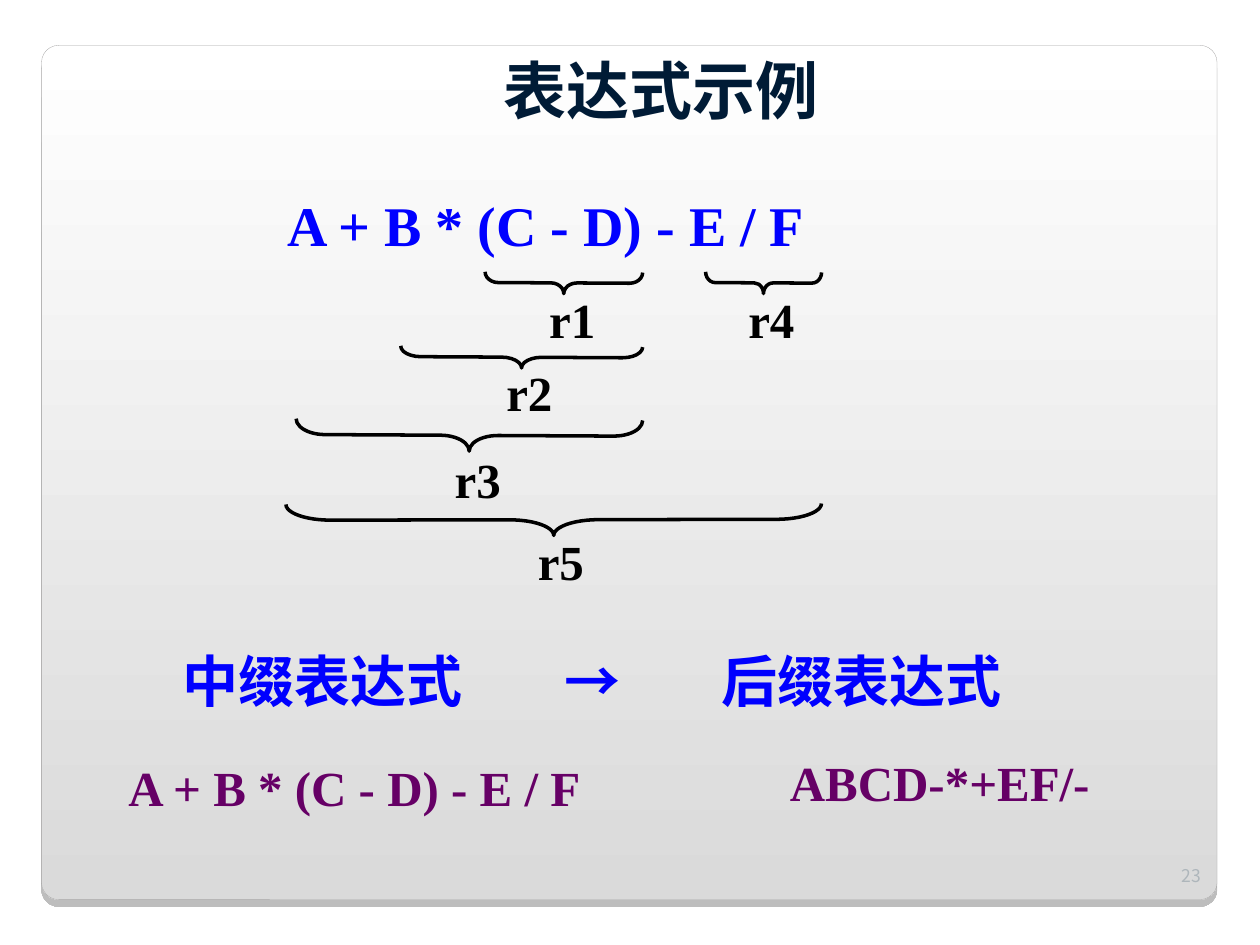
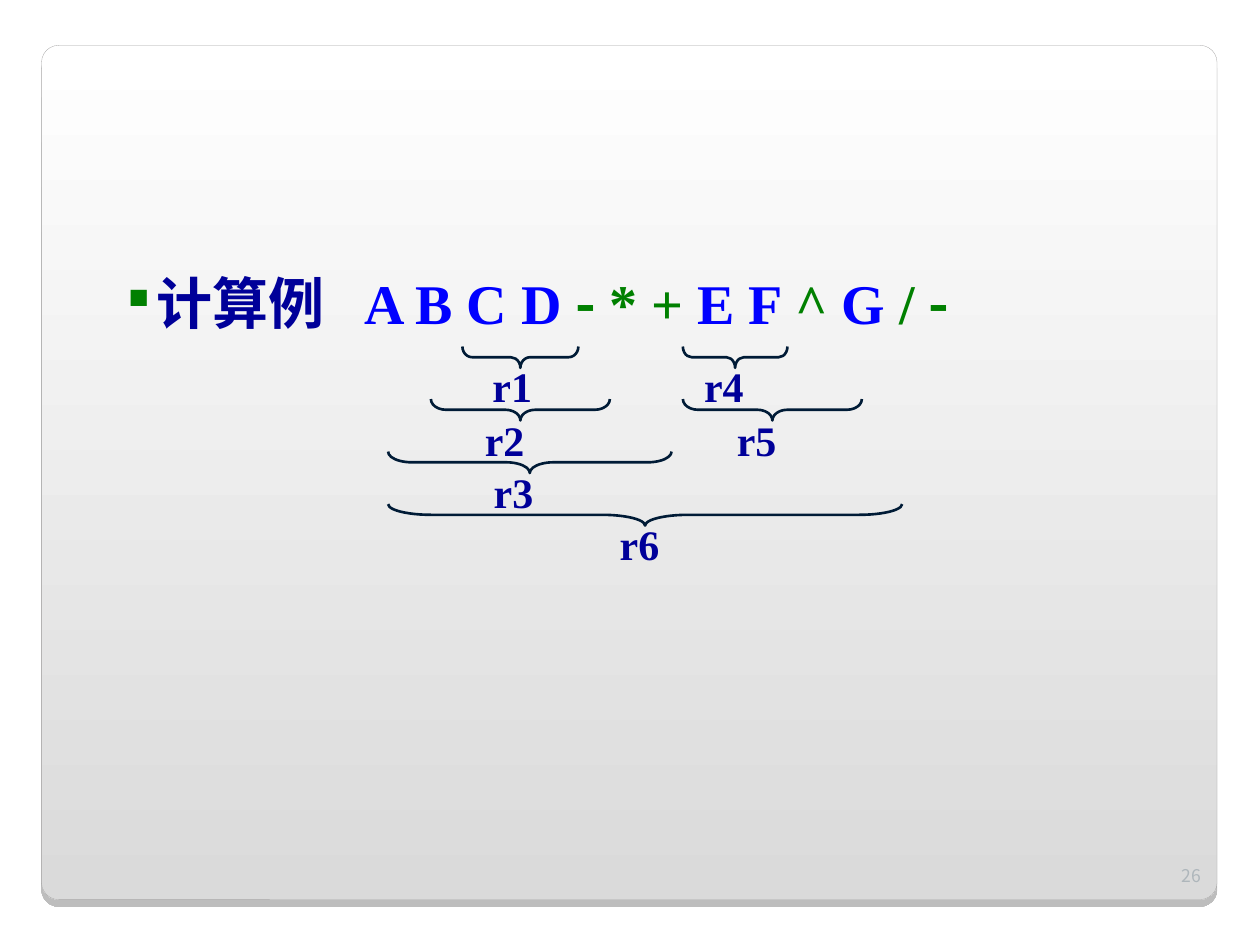
from dataclasses import dataclass

from lxml import etree
from pptx import Presentation
from pptx.dml.color import RGBColor
from pptx.enum.shapes import MSO_SHAPE as SHAPE
from pptx.enum.text import MSO_ANCHOR as ANCHOR, MSO_AUTO_SIZE as AUTO, PP_ALIGN as ALIGN
from pptx.oxml.ns import qn
from pptx.util import Inches, Pt


@dataclass(frozen=True)
class Theme:
    serif: str = "Times New Roman"
    sans: str = "Noto Sans CJK SC"
    blue: str = "0000FF"
    navy: str = "000099"
    ink: str = "001B36"
    black: str = "000000"
    green: str = "008000"
    purple: str = "660066"
    grey: str = "AEB6BB"
    panel_top: str = "FFFFFF"
    panel_bottom: str = "DADADA"
    panel_edge: str = "A4A3A3"
    title: int = 36
    expression: int = 32
    formula: int = 28
    step: int = 24
    number: int = 10


T = Theme()


def rgb(color):
    return RGBColor.from_string(color)


def child(parent, tag, **attrs):
    el = etree.SubElement(parent, qn(tag))
    for name, value in attrs.items():
        el.set(name, str(value))
    return el


def add_run(p, text, size, color, font=T.serif, bold=True, tracking=0):
    r = p.add_run()
    r.text = text
    r.font.size = Pt(size)
    r.font.bold = bold
    r.font.name = font
    r.font.color.rgb = rgb(color)
    rPr = r._r.get_or_add_rPr()
    child(rPr, "a:ea", typeface=T.sans)
    if tracking:
        rPr.set("spc", str(round(tracking * 100)))


def add_text(slide, box, runs, align=ALIGN.LEFT, anchor=ANCHOR.TOP, wrap=True,
             grow=False, spacing=None, tabs=(), bullet=None):
    sp = slide.shapes.add_textbox(*map(Inches, box))
    tf = sp.text_frame
    tf.word_wrap = wrap
    tf.auto_size = AUTO.SHAPE_TO_FIT_TEXT if grow else AUTO.NONE
    tf.vertical_anchor = anchor
    p = tf.paragraphs[0]
    p.alignment = align
    if spacing:
        p.line_spacing = spacing
    pPr = p._p.get_or_add_pPr()
    if bullet:
        char, color, indent = bullet
        pPr.set("marL", str(Inches(indent)))
        pPr.set("indent", str(-Inches(indent)))
        child(child(pPr, "a:buClr"), "a:srgbClr", val=color)
        child(pPr, "a:buSzPct", val=50000)
        child(pPr, "a:buChar", char=char)
    if tabs:
        stops = child(pPr, "a:tabLst")
        for pos in tabs:
            child(stops, "a:tab", pos=Inches(pos), algn="l")
    for run in runs:
        add_run(p, *run)


def add_panel(slide):
    sp = slide.shapes.add_shape(SHAPE.ROUNDED_RECTANGLE, *map(Inches, (0.33, 0.36, 9.33, 6.78)))
    sp.adjustments[0] = 0.02
    sp.fill.gradient()
    sp.fill.gradient_angle = 270
    for stop, pos, color in zip(sp.fill.gradient_stops, (0, 1), (T.panel_top, T.panel_bottom)):
        stop.position = pos
        stop.color.rgb = rgb(color)
    sp.line.color.rgb = rgb(T.panel_edge)
    sp.line.width = Pt(0.17)
    effects = child(sp._element.spPr, "a:effectLst")
    shadow = child(effects, "a:outerShdw", blurRad=0, dist=Pt(4), dir=5400000, rotWithShape=0)
    child(child(shadow, "a:srgbClr", val=T.black), "a:alpha", val=25000)


def add_brace(slide, x, y, length, depth, color, weight, angle=270):
    left = x + (length - depth) / 2
    top = y + (depth - length) / 2
    sp = slide.shapes.add_shape(SHAPE.LEFT_BRACE, *map(Inches, (left, top, depth, length)))
    sp.adjustments[0] = length / 12 / depth
    sp.rotation = angle
    sp.shadow.inherit = False
    sp.fill.background()
    sp.line.color.rgb = rgb(color)
    sp.line.width = Pt(weight)


def add_slide(prs, number):
    slide = prs.slides.add_slide(prs.slide_layouts[6])
    add_panel(slide)
    add_text(slide, (9.13, 6.68, 0.5, 0.4), [(str(number), T.number, T.grey, T.sans, False)],
             align=ALIGN.RIGHT, anchor=ANCHOR.BOTTOM)
    return slide


def add_expression(slide, box, text, size, color):
    add_text(slide, box, [(text, size, color)], wrap=False, grow=True, spacing=0.95)


def build_infix_slide(prs):
    slide = add_slide(prs, 23)
    add_text(slide, (1.58, 0.33, 7.33, 0.75), [("表达式示例", T.title, T.ink, T.sans)],
             align=ALIGN.CENTER, anchor=ANCHOR.MIDDLE)
    infix = "A + B * (C - D) - E / F"
    add_expression(slide, (2.18, 1.5, 4.33, 0.6), infix, T.expression, T.blue)
    steps = [
        ("r1", 3.85, 2.16, 1.25, 0.17, 270.3, 4.26, 2.25),
        ("r4", 5.6, 2.16, 0.92, 0.17, 270.3, 5.84, 2.25),
        ("r2", 3.18, 2.75, 1.92, 0.17, 270.3, 3.92, 2.83),
        ("r3", 2.35, 3.33, 2.75, 0.25, 270.3, 3.51, 3.52),
        ("r5", 2.27, 4, 4.25, 0.25, 269.9, 4.17, 4.17),
    ]
    for name, x, y, length, depth, angle, label_x, label_y in steps:
        add_brace(slide, x, y, length, depth, T.black, 2, angle)
        add_text(slide, (label_x, label_y, 0.68, 0.56), [(name, T.formula, T.black)], grow=True)
    add_text(slide, (1.35, 5.08, 7.68, 0.63),
             [("中缀表达式\t→\t后缀表达式", T.expression, T.blue)], grow=True, tabs=(3.03, 4.28))
    add_expression(slide, (0.92, 6, 3.81, 0.54), infix, T.formula, T.purple)
    add_expression(slide, (6.17, 5.96, 2.58, 0.54), "ABCD-*+EF/-", T.formula, T.purple)


def build_postfix_slide(prs):
    slide = add_slide(prs, 26)
    parts = [
        ("计算例", T.navy, T.sans), (" ", T.navy, T.sans, True, 15.5),
        ("A B C D ", T.blue, T.serif), ("- ", T.green, T.sans),
        ("* +", T.green, T.serif), (" E F ", T.blue, T.serif),
        ("^", T.green, T.serif), (" G ", T.blue, T.serif),
        ("/ ", T.green, T.serif), ("-", T.green, T.sans),
    ]
    add_text(slide, (0.92, 2.08, 7.16, 0.63),
             [(text, T.expression, *style) for text, *style in parts],
             grow=True, bullet=("■", T.green, 0.22))
    first_row, row_gap = 2.75, 0.417
    steps = [
        ("r1", 0, 3.67, 0.92, 3.81, 2.81),
        ("r2", 1, 3.42, 1.42, 3.75, 3.24),
        ("r3", 2, 3.08, 2.25, 3.82, 3.65),
        ("r4", 0, 5.42, 0.83, 5.49, 2.81),
        ("r5", 1, 5.42, 1.42, 5.75, 3.24),
        ("r6", 3, 3.08, 4.08, 4.82, 4.07),
    ]
    for name, row, x, length, label_x, label_y in steps:
        add_brace(slide, x, first_row + row * row_gap, length, 0.17, T.ink, 1.5)
        add_text(slide, (label_x, label_y, 0.6, 0.5), [(name, T.step, T.navy)], grow=True)


def main():
    prs = Presentation()
    prs.slide_width, prs.slide_height = Inches(10), Inches(7.5)
    build_infix_slide(prs)
    build_postfix_slide(prs)
    prs.save("out.pptx")


if __name__ == "__main__":
    main()
